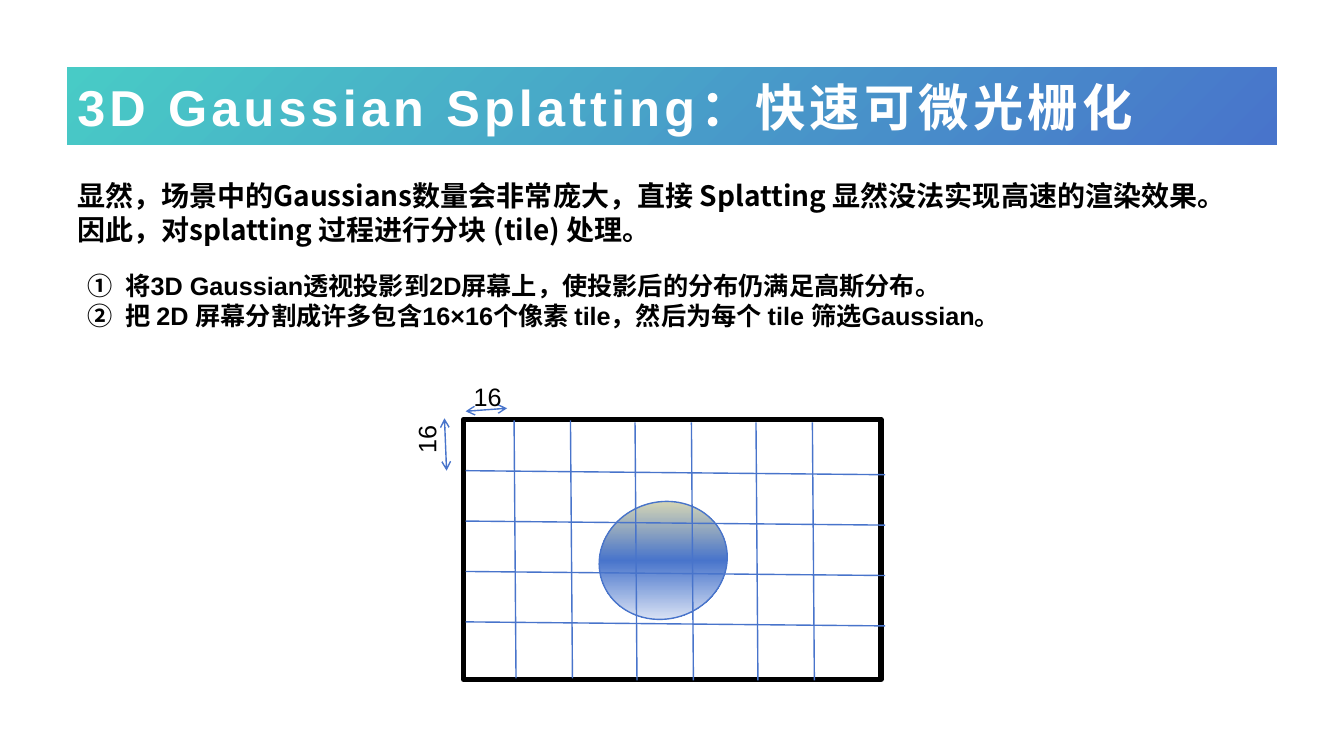
from lxml.etree import SubElement
from pptx import Presentation
from pptx.dml.color import RGBColor
from pptx.enum.shapes import MSO_CONNECTOR, MSO_SHAPE
from pptx.enum.text import MSO_ANCHOR, MSO_AUTO_SIZE, PP_ALIGN
from pptx.oxml import parse_xml
from pptx.oxml.ns import qn
from pptx.util import Pt

# Content
TITLE = "3D Gaussian Splatting：快速可微光栅化"
INTRO = ("显然，场景中的Gaussians数量会非常庞大，直接 Splatting 显然没法实现高速的渲染效果。"
         "因此，对splatting 过程进行分块 (tile) 处理。")
STEPS = ["将3D Gaussian透视投影到2D屏幕上，使投影后的分布仍满足高斯分布。",
         "把 2D 屏幕分割成许多包含16×16个像素 tile，然后为每个 tile 筛选Gaussian。"]
TILE = "16"
COLORS = {"teal": "48CBC6", "blue": "4874CB", "sand": "FAEFAE",
          "white": "FFFFFF", "black": "000000"}
LATIN, HAN = "Arial", "Noto Sans CJK SC"
NS = "http://schemas.openxmlformats.org/drawingml/2006/main"


def rgb(name):
    return RGBColor.from_string(COLORS[name])


def place(shape, left, top, width, height):
    shape.left, shape.top = Pt(left), Pt(top)
    shape.width, shape.height = Pt(width), Pt(height)


def style(para, size, color="black", bold=False, face=LATIN, track=0):
    font = para.font
    font.size, font.bold, font.name = Pt(size), bold, face
    font.color.rgb = rgb(color)
    props = para._p.pPr.find(qn("a:defRPr"))
    props.set("spc", str(track * 100))
    SubElement(props, qn("a:ea")).set("typeface", HAN)


def shade(shape, stops, angle):
    marks = "".join(f'<a:gs pos="{pos * 1000}"><a:srgbClr val="{COLORS[name]}"/></a:gs>'
                    for pos, name in stops)
    grad = parse_xml(f'<a:gradFill xmlns:a="{NS}" rotWithShape="0"><a:gsLst>{marks}</a:gsLst>'
                     f'<a:lin ang="{angle * 60000}" scaled="0"/></a:gradFill>')
    shape.fill.background()
    blank = shape._element.spPr.find(qn("a:noFill"))
    blank.getparent().replace(blank, grad)


def write(box, lines, size, pitch=None, bullet=False, **look):
    place_text = slide.shapes.add_textbox(*[Pt(v) for v in box])
    frame = place_text.text_frame
    frame.word_wrap = True
    for i, line in enumerate(lines):
        para = frame.paragraphs[0] if i == 0 else frame.add_paragraph()
        para.text = line
        if pitch:
            para.line_spacing = Pt(pitch)
        if bullet:
            props = para._p.get_or_add_pPr()
            props.set("marL", str(Pt(27)))
            props.set("indent", str(-Pt(27)))
            SubElement(props, qn("a:buFont")).set("typeface", "+mj-lt")
            SubElement(props, qn("a:buAutoNum")).set("type", "circleNumDbPlain")
        style(para, size, **look)
    return frame


def draw(x1, y1, x2, y2, arrow=False):
    line = slide.shapes.add_connector(MSO_CONNECTOR.STRAIGHT, Pt(x1), Pt(y1), Pt(x2), Pt(y2))
    line.line.width = Pt(1)
    line.line.color.rgb = rgb("blue")
    props = line._element.spPr
    if arrow:
        for end in ("a:headEnd", "a:tailEnd"):
            SubElement(props.find(qn("a:ln")), qn(end)).set("type", "arrow")
    SubElement(props, qn("a:effectLst"))


def add(kind, box, color, weight):
    shape = slide.shapes.add_shape(kind, *[Pt(v) for v in box])
    shape.shadow.inherit = False
    shape.fill.background()
    shape.line.color.rgb = rgb(color)
    shape.line.width = Pt(weight)
    return shape


deck = Presentation()
deck.slide_width, deck.slide_height = Pt(960), Pt(540)
slide = deck.slides.add_slide(deck.slide_layouts[5])

# Title bar
title = slide.shapes.title
place(title, 48, 48, 864, 55.5)
shade(title, [(0, "teal"), (100, "blue")], 45)
frame = title.text_frame
frame.text = TITLE
frame.word_wrap = True
frame.auto_size = MSO_AUTO_SIZE.NONE
frame.vertical_anchor = MSO_ANCHOR.MIDDLE
frame.paragraphs[0].alignment = PP_ALIGN.LEFT
style(frame.paragraphs[0], 36, "white", bold=True, track=3)

# Introduction and numbered steps
write((48, 124, 842, 55.5), [INTRO], 20, pitch=24, bold=True, face=HAN)
write((55.5, 189.5, 834, 51), STEPS, 18, pitch=21.5, bullet=True, bold=True)

# Screen with the projected Gaussian
add(MSO_SHAPE.RECTANGLE, (331.2, 299.5, 298, 185.8), "black", 4)
blob = add(MSO_SHAPE.OVAL, (432, 354.2, 83.5, 92.2), "blue", 1)
blob.rotation = 73
shade(blob, [(0, "sand"), (50, "blue"), (100, "white")], 90)

# Tile grid: four rows, then three pairs of columns
for row in range(4):
    y = 336.2 + 36 * row
    draw(332.6, y, 632.2, y + 2.9)
for pair in range(3):
    top = 300.2 if pair == 0 else 301.7
    for side in range(2):
        x = 367.2 + 86.4 * pair + 40.3 * side
        draw(x, top, x + 1.4, top + 184.3)

# Tile size marks
draw(317.5, 298.8, 319, 336.2, arrow=True)
draw(332.6, 293.8, 362.2, 291.6, arrow=True)
tall = write((290.2, 296, 31, 35.3), [TILE], 18)
tall._txBody.bodyPr.set("vert", "vert270")
write((331.2, 268.6, 64, 29), [TILE], 18)

deck.save("out.pptx")
